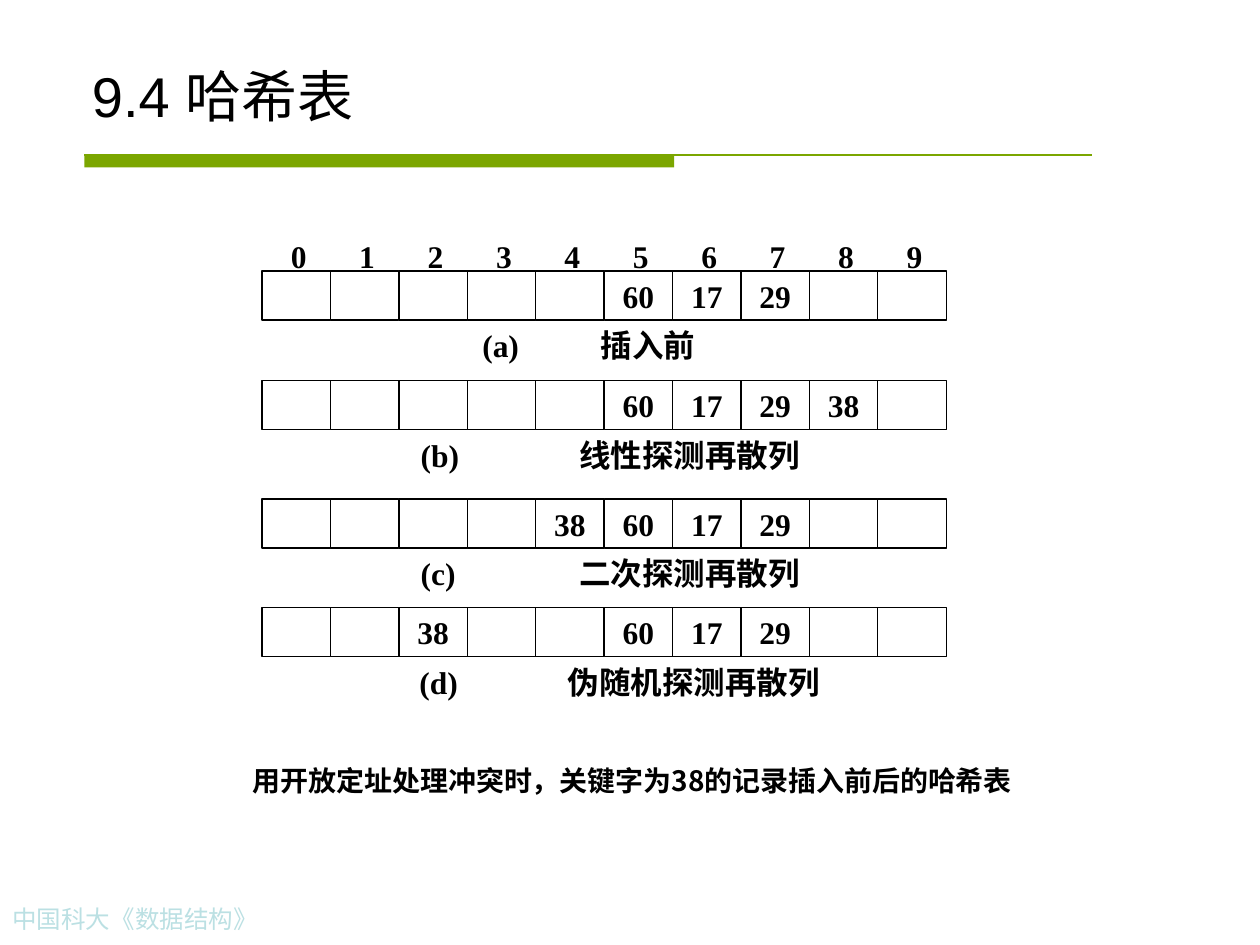
from dataclasses import dataclass, field

from lxml import etree
from pptx import Presentation
from pptx.dml.color import RGBColor
from pptx.enum.shapes import MSO_CONNECTOR, MSO_SHAPE
from pptx.enum.text import MSO_ANCHOR, MSO_AUTO_SIZE, PP_ALIGN
from pptx.oxml.ns import qn
from pptx.util import Inches, Pt

RECTANGLE, STRAIGHT = MSO_SHAPE.RECTANGLE, MSO_CONNECTOR.STRAIGHT
MIDDLE, BOTTOM = MSO_ANCHOR.MIDDLE, MSO_ANCHOR.BOTTOM
LEFT, CENTER = PP_ALIGN.LEFT, PP_ALIGN.CENTER
BLACK = RGBColor(0x00, 0x00, 0x00)
WHITE = RGBColor(0xFF, 0xFF, 0xFF)
GREEN = RGBColor(0x7B, 0xA6, 0x00)
PALE_BLUE = RGBColor(0xBB, 0xE0, 0xE3)
SERIF, SANS, CHINESE = "Times New Roman", "Arial", "Noto Sans CJK SC"

SLIDE_WIDTH, SLIDE_HEIGHT = 10, 7.5
COLUMNS = 10
GRID_LEFT, GRID_WIDTH = 2.08, 5.43
COLUMN = GRID_WIDTH / COLUMNS
ROW = 0.39
TEXT_HEIGHT = 0.4
INSET = 0.1


@dataclass
class HashTable:
    top: float
    values: dict[int, int]
    mark: str
    name: str
    mark_left: float
    name_left: float
    indices: list[int] = field(default_factory=list)


STORED = {5: 60, 6: 17, 7: 29}
HASH_TABLES = [
    HashTable(2.15, STORED, "(a)", "插入前", 3.83, 4.77, list(range(COLUMNS))),
    HashTable(3.02, STORED | {8: 38}, "(b)", "线性探测再散列", 3.34, 4.6),
    HashTable(3.96, STORED | {4: 38}, "(c)", "二次探测再散列", 3.34, 4.6),
    HashTable(4.82, STORED | {2: 38}, "(d)", "伪随机探测再散列", 3.33, 4.51),
]


def format_text(shape, size: float, font_name: str, color=BLACK,
                bold=False, align=LEFT, anchor=MIDDLE) -> None:
    frame = shape.text_frame
    frame.vertical_anchor = anchor
    frame.auto_size = MSO_AUTO_SIZE.NONE
    paragraph = frame.paragraphs[0]
    paragraph.alignment = align
    for run in paragraph.runs:
        font = run.font
        font.size, font.name, font.bold = Pt(size), font_name, bold
        font.color.rgb = color
        east_asian = etree.SubElement(run._r.get_or_add_rPr(), qn("a:ea"))
        east_asian.set("typeface", CHINESE)


def set_tabs(paragraph, positions: list[float]) -> None:
    tab_list = etree.SubElement(paragraph._p.get_or_add_pPr(), qn("a:tabLst"))
    for position in positions:
        tab = etree.SubElement(tab_list, qn("a:tab"))
        tab.set("pos", str(Inches(position)))
        tab.set("algn", "l")


def add_text(shapes, text: str, left: float, top: float, width: float,
             size: float, color=BLACK, bold=True, font_name=SERIF,
             tabs: list[float] | None = None) -> None:
    box = shapes.add_textbox(Inches(left), Inches(top),
                             Inches(width), Inches(TEXT_HEIGHT))
    box.text_frame.word_wrap = True
    paragraph = box.text_frame.paragraphs[0]
    paragraph.text = text
    if tabs:
        set_tabs(paragraph, tabs)
    format_text(box, size, font_name, color, bold)


def add_cell(shapes, column: int, top: float, text: str) -> None:
    cell = shapes.add_shape(RECTANGLE, Inches(GRID_LEFT + column * COLUMN),
                            Inches(top), Inches(COLUMN), Inches(ROW))
    cell.shadow.inherit = False
    cell.fill.solid()
    cell.fill.fore_color.rgb = WHITE
    cell.line.color.rgb = BLACK
    cell.line.width = Pt(0.75)
    if text:
        frame = cell.text_frame
        frame.margin_left = frame.margin_right = 0
        frame.text = text
        format_text(cell, 18, SERIF, bold=True, align=CENTER)


def add_hash_table(slide, table: HashTable) -> None:
    shapes = slide.shapes.add_group_shape().shapes
    for column in range(COLUMNS):
        add_cell(shapes, column, table.top, str(table.values.get(column, "")))
    if table.indices:
        add_text(shapes, "\t".join(map(str, table.indices)),
                 GRID_LEFT + 0.13, table.top - 0.32, GRID_WIDTH, 18,
                 tabs=[COLUMN * index for index in table.indices[1:]])
    add_text(shapes, f"{table.mark}\t{table.name}", table.mark_left - INSET,
             table.top + ROW, 3.5, 18,
             tabs=[table.name_left - table.mark_left])


def add_title(slide) -> None:
    title = slide.shapes.title
    title.left, title.top = Inches(0.63), Inches(0.33)
    title.width, title.height = Inches(8.75), Inches(0.74)
    title.text_frame.text = "9.4 哈希表"
    format_text(title, 32, SANS, anchor=BOTTOM)


def add_title_rule(slide) -> None:
    left, top = Inches(0.67), Inches(1.23)
    bar = slide.shapes.add_shape(RECTANGLE, left, top, Inches(4.68), Inches(0.1))
    bar.shadow.inherit = False
    bar.fill.solid()
    bar.fill.fore_color.rgb = GREEN
    bar.line.fill.background()
    line = slide.shapes.add_connector(STRAIGHT, left, top, Inches(8.67), top)
    line.line.color.rgb = GREEN
    line.line.width = Pt(0.75)
    etree.SubElement(line._element.spPr, qn("a:effectLst"))


def main() -> None:
    presentation = Presentation()
    presentation.slide_width = Inches(SLIDE_WIDTH)
    presentation.slide_height = Inches(SLIDE_HEIGHT)
    slide = presentation.slides.add_slide(presentation.slide_layouts[5])

    add_title_rule(slide)
    add_text(slide.shapes, "中国科大《数据结构》", 0, 7.09, 3.11, 14,
             color=PALE_BLUE, bold=False)
    add_title(slide)
    for table in HASH_TABLES:
        add_hash_table(slide, table)
    add_text(slide.shapes, "用开放定址处理冲突时，关键字为38的记录插入前后的哈希表",
             1.91, 5.99, 6.6, 16, font_name=CHINESE)

    presentation.save("out.pptx")


if __name__ == "__main__":
    main()
